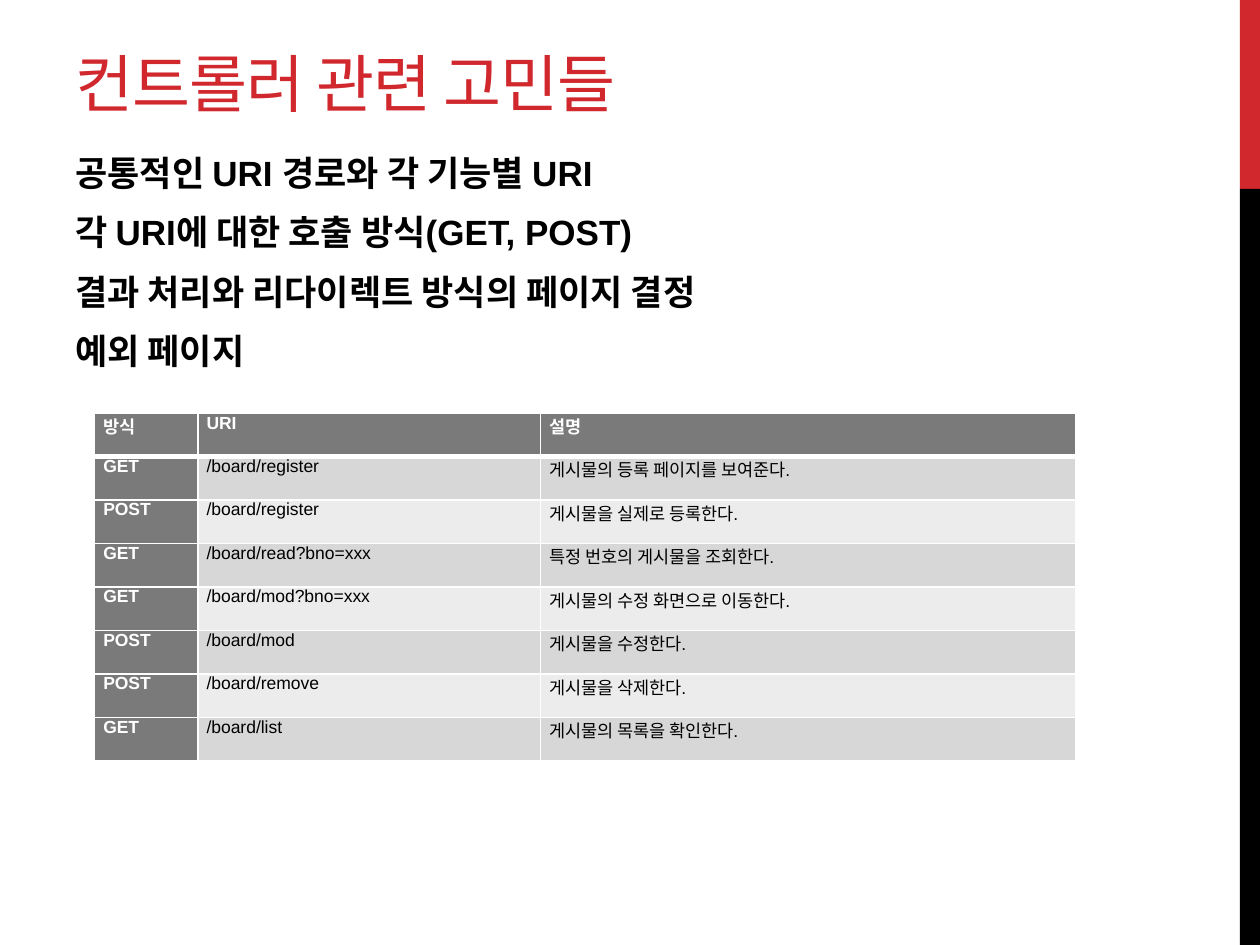
from lxml import etree
from pptx import Presentation, util as u
from pptx.dml.color import RGBColor
from pptx.enum import shapes, text
from pptx.oxml.ns import qn

RED = RGBColor(0xD1, 0x28, 0x2E)
BLACK = RGBColor(0, 0, 0)
WHITE = RGBColor(255, 255, 255)
HEAD = RGBColor(0x7A, 0x7A, 0x7A)
BANDS = [RGBColor(0xD7, 0xD7, 0xD7), RGBColor(0xEC, 0xEC, 0xEC)]

deck = Presentation()
deck.slide_width, deck.slide_height = u.Inches(10), u.Inches(7.5)
slide = deck.slides.add_slide(deck.slide_layouts[5])


def add_run(paragraph, words, size, color, bold=False, font="Arial"):
    run = paragraph.add_run()
    run.text = words
    run.font.size = u.Pt(size)
    run.font.name = font
    run.font.bold = bold
    run.font.color.rgb = color
    return run


def add_border(cell, side, points):
    line = etree.SubElement(cell._tc.get_or_add_tcPr(), qn("a:ln" + side),
                            w=str(u.Pt(points)))
    fill = etree.SubElement(line, qn("a:solidFill"))
    etree.SubElement(fill, qn("a:srgbClr"), val=str(WHITE))


band_width = u.Inches(0.16)
red_height = deck.slide_height // 5
for top, height, color in [(0, red_height, RED),
                           (red_height, deck.slide_height - red_height, BLACK)]:
    band = slide.shapes.add_shape(shapes.MSO_SHAPE.RECTANGLE,
                                  deck.slide_width - band_width, top, band_width, height)
    band.shadow.inherit = False
    band.fill.solid()
    band.fill.fore_color.rgb = color
    band.line.fill.background()

title = slide.shapes.title
title.left, title.top = u.Inches(0.5), u.Inches(0.17)
title.width, title.height = u.Inches(8.36), u.Inches(0.83)
title.text_frame.vertical_anchor = text.MSO_ANCHOR.BOTTOM
heading = title.text_frame.paragraphs[0]
heading.alignment = text.PP_ALIGN.LEFT
heading_run = add_run(heading, "컨트롤러 관련 고민들", 36, RED, font="Montserrat")
heading_run.font._element.set("spc", "-60")

concerns = slide.shapes.add_textbox(u.Inches(0.5), u.Inches(1.15),
                                    u.Inches(8.33), u.Inches(5.55)).text_frame
concerns.word_wrap = True
for i, concern in enumerate(["공통적인 URI 경로와 각 기능별 URI",
                             "각 URI에 대한 호출 방식(GET, POST)",
                             "결과 처리와 리다이렉트 방식의 페이지 결정",
                             "예외 페이지"]):
    paragraph = concerns.add_paragraph() if i else concerns.paragraphs[0]
    paragraph.space_before = u.Pt(4)
    paragraph.space_after = u.Pt(6)
    add_run(paragraph, concern, 20, BLACK, bold=True)

routes = [
    ("방식", "URI", "설명"),
    ("GET", "/board/register", "게시물의 등록 페이지를 보여준다."),
    ("POST", "/board/register", "게시물을 실제로 등록한다."),
    ("GET", "/board/read?bno=xxx", "특정 번호의 게시물을 조회한다."),
    ("GET", "/board/mod?bno=xxx", "게시물의 수정 화면으로 이동한다."),
    ("POST", "/board/mod", "게시물을 수정한다."),
    ("POST", "/board/remove", "게시물을 삭제한다."),
    ("GET", "/board/list", "게시물의 목록을 확인한다."),
]
route_table = slide.shapes.add_table(len(routes), 3, u.Inches(0.75), u.Inches(3.28),
                                     u.Inches(7.8), u.Inches(2.76)).table
route_table.horz_banding = False
for column, width in zip(route_table.columns, (0.82, 2.72, 4.25)):
    column.width = u.Inches(width)

for r, route in enumerate(routes):
    for c, words in enumerate(route):
        cell = route_table.cell(r, c)
        is_head = r == 0 or c == 0
        cell.margin_left = cell.margin_right = u.Inches(0.07)
        cell.margin_top = cell.margin_bottom = 0
        for side in "LRTB":
            thick = (r == 0 and side == "B") or (r == 1 and side == "T")
            add_border(cell, side, 3 if thick else 1)
        cell.fill.solid()
        cell.fill.fore_color.rgb = HEAD if is_head else BANDS[(r - 1) % 2]
        add_run(cell.text_frame.paragraphs[0], words, 10,
                WHITE if is_head else BLACK, bold=is_head)

deck.save("out.pptx")
